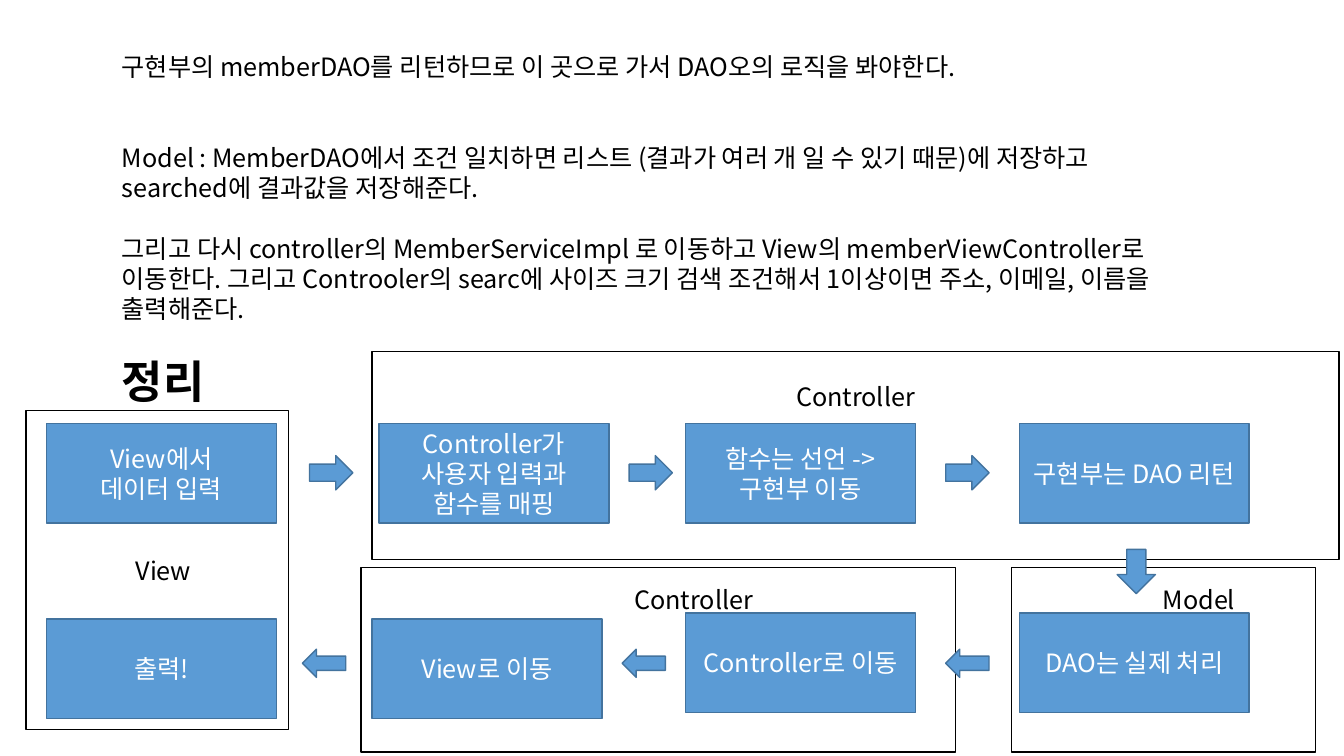
from lxml import etree
from pptx import Presentation
from pptx.dml.color import RGBColor
from pptx.enum.shapes import MSO_SHAPE
from pptx.enum.text import MSO_ANCHOR, PP_ALIGN
from pptx.oxml.ns import qn
from pptx.util import Inches, Pt

RECTANGLE = MSO_SHAPE.RECTANGLE
RIGHT, LEFT, DOWN = MSO_SHAPE.RIGHT_ARROW, MSO_SHAPE.LEFT_ARROW, MSO_SHAPE.DOWN_ARROW
TOP, MIDDLE = MSO_ANCHOR.TOP, MSO_ANCHOR.MIDDLE
ALIGN_LEFT, ALIGN_CENTER = PP_ALIGN.LEFT, PP_ALIGN.CENTER

FONT = "Noto Sans CJK KR"
COLORS = {"white": "FFFFFF", "black": "000000", "blue": "5B9BD5", "edge": "43739E"}

EXPLANATION = [
    ("구현부의 memberDAO를 리턴하므로 이 곳으로 가서 DAO오의 로직을 봐야한다.", 18, False, 0),
    ("Model : MemberDAO에서 조건 일치하면 리스트 (결과가 여러 개 일 수 있기 때문)에 "
     "저장하고 searched에 결과값을 저장해준다.", 18, False, 43.3),
    ("그리고 다시 controller의 MemberServiceImpl 로 이동하고 View의 "
     "memberViewController로 이동한다. 그리고 Controoler의 searc에 사이즈 크기 검색 "
     "조건해서 1이상이면 주소, 이메일, 이름을 출력해준다.", 18, False, 21.65),
    ("정리", 32, True, 21.65),
]
FRAMES = [
    ("Model", (10.03, 5.63, 3.02, 1.83), 0.17, 0.35),
    ("Controller", (3.58, 5.63, 5.9, 1.83), 0.17, 0.35),
    ("View", (0.26, 4.07, 2.6, 3.17), 1.44, 0.06),
    ("Controller", (3.69, 3.49, 9.59, 2.06), 0.29, 0),
]
STEP_SIZE = (2.28, 0.99)
STEPS = [
    ("View에서\n데이터 입력", 0.46, 4.2),
    ("Controller가 사용자 입력과 함수를 매핑", 3.76, 4.2),
    ("함수는 선언 -> 구현부 이동", 6.8, 4.2),
    ("구현부는 DAO 리턴", 10.11, 4.2),
    ("DAO는 실제 처리", 10.11, 6.08),
    ("Controller로 이동", 6.8, 6.08),
    ("View로 이동", 3.69, 6.14),
    ("출력!", 0.46, 6.14),
]
ARROWS = [
    *((RIGHT, (left, 4.52, 0.43, 0.34)) for left in (3.07, 6.24, 9.38)),
    (DOWN, (11.08, 5.45, 0.38, 0.44)),
    *((LEFT, (left, 6.44, 0.43, 0.28)) for left in (9.38, 6.17, 3)),
]


def color(name):
    return RGBColor.from_string(COLORS[name])


def format_paragraph(paragraph, color_name, alignment, size=18, bold=False):
    paragraph.alignment = alignment
    for run in paragraph.runs:
        run.font.size = Pt(size)
        run.font.bold = bold
        run.font.name = FONT
        run.font.color.rgb = color(color_name)
        etree.SubElement(run.font._element, qn("a:ea"), typeface=FONT)


def add_block(slide, kind, box, fill, line):
    shape = slide.shapes.add_shape(kind, *map(Inches, box))
    shape.shadow.inherit = False
    shape.fill.solid()
    shape.fill.fore_color.rgb = color(fill)
    shape.line.color.rgb = color(line)
    shape.line.width = Pt(1)
    return shape


def set_block_text(shape, text, color_name, anchor):
    text_frame = shape.text_frame
    text_frame.word_wrap = True
    text_frame.vertical_anchor = anchor
    text_frame.text = text
    for paragraph in text_frame.paragraphs:
        format_paragraph(paragraph, color_name, ALIGN_CENTER)


def add_frame(slide, label, box, label_top, label_shift):
    shape = add_block(slide, RECTANGLE, box, "white", "black")
    set_block_text(shape, label, "black", TOP)
    shape.text_frame.margin_top = Inches(label_top)
    shape.text_frame.margin_left = Inches(0.1 + 2 * label_shift)


def add_step(slide, text, left, top):
    shape = add_block(slide, RECTANGLE, (left, top, *STEP_SIZE), "blue", "edge")
    set_block_text(shape, text, "white", MIDDLE)


def add_explanation(slide, box):
    text_frame = slide.shapes.add_textbox(*map(Inches, box)).text_frame
    text_frame.word_wrap = True
    text_frame.text = "\n".join(text for text, *_ in EXPLANATION)
    for paragraph, (_, size, bold, gap) in zip(text_frame.paragraphs, EXPLANATION):
        paragraph.space_before = Pt(gap)
        format_paragraph(paragraph, "black", ALIGN_LEFT, size, bold)


def build_flow_slide(presentation):
    slide = presentation.slides.add_slide(presentation.slide_layouts[6])
    for frame in FRAMES:
        add_frame(slide, *frame)
    add_explanation(slide, (1.11, 0.46, 10.7, 3.97))
    for step in STEPS:
        add_step(slide, *step)
    for kind, box in ARROWS:
        add_block(slide, kind, box, "blue", "edge")


def main():
    presentation = Presentation()
    presentation.slide_width = Inches(13.33)
    presentation.slide_height = Inches(7.5)
    build_flow_slide(presentation)
    presentation.save("out.pptx")


if __name__ == "__main__":
    main()
